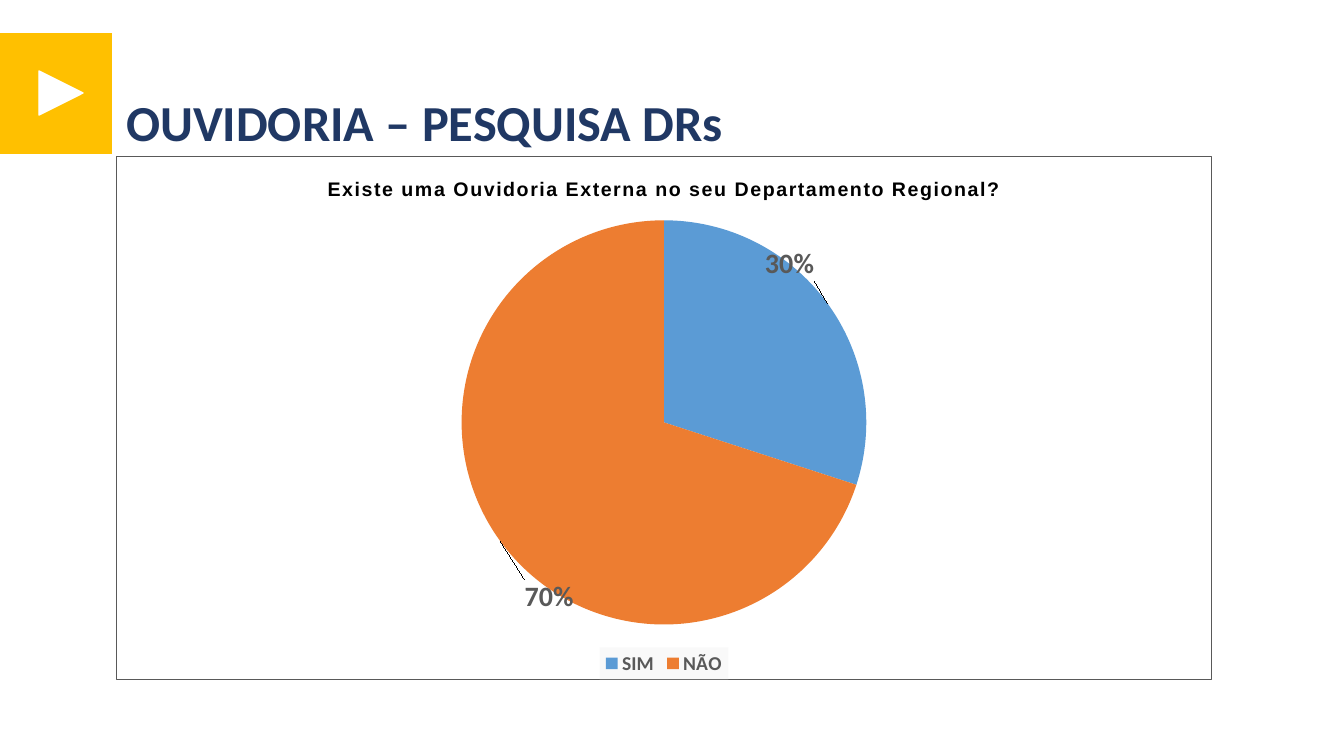
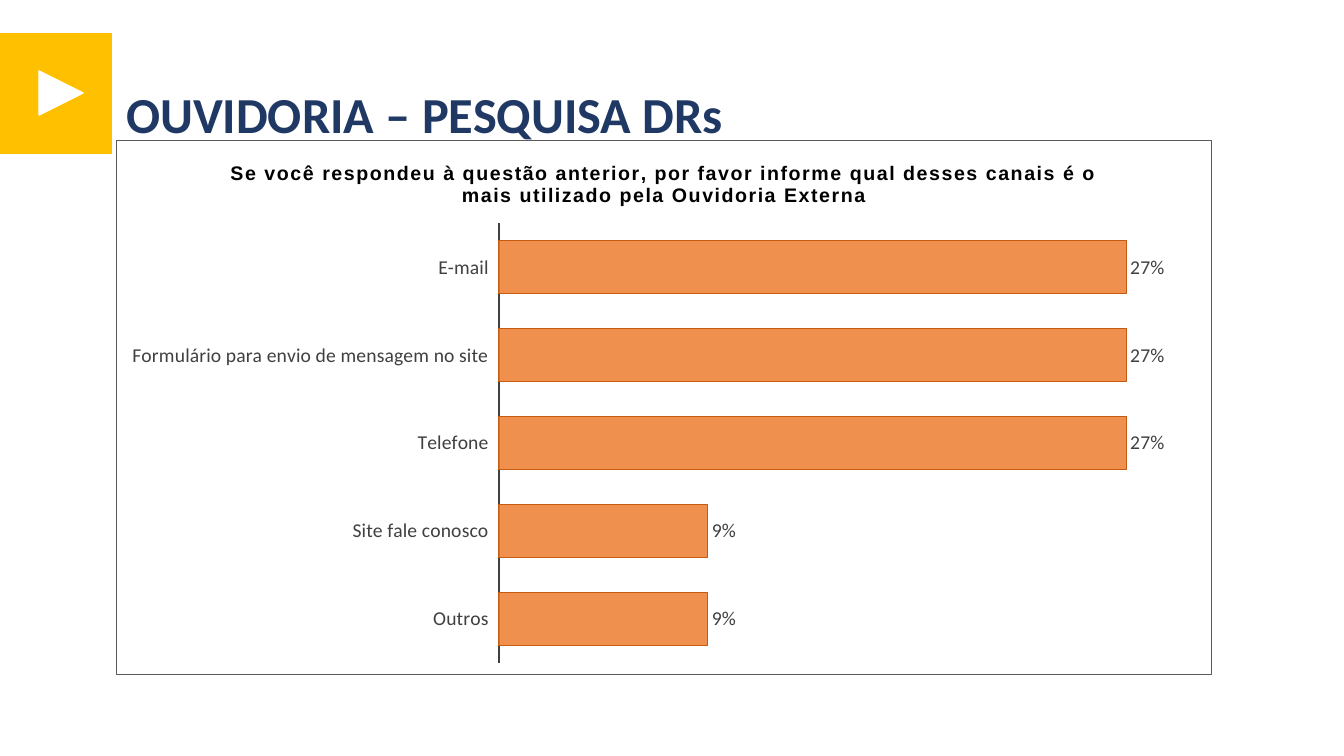
from lxml import etree
from pptx import Presentation
from pptx.chart.data import CategoryChartData
from pptx.dml.color import RGBColor
from pptx.enum.chart import XL_CHART_TYPE as ChartType, XL_LABEL_POSITION as LabelPosition
from pptx.enum.chart import XL_LEGEND_POSITION as LegendPosition, XL_TICK_MARK as TickMark
from pptx.enum.chart import XL_TICK_LABEL_POSITION as TickLabelPosition
from pptx.enum.shapes import MSO_SHAPE as Preset
from pptx.enum.text import MSO_ANCHOR as Anchor, MSO_AUTO_SIZE as AutoSize, PP_ALIGN as Align
from pptx.oxml import parse_xml
from pptx.oxml.ns import nsdecls, qn
from pptx.util import Pt

SCALE = 914400 / 100.8
AMBER = RGBColor(0xFF, 0xC0, 0x00)
WHITE = RGBColor(0xFF, 0xFF, 0xFF)
NAVY = RGBColor(0x20, 0x38, 0x64)
BLACK = RGBColor(0x00, 0x00, 0x00)
GRAY = RGBColor(0x59, 0x59, 0x59)
DARK_GRAY = RGBColor(0x40, 0x40, 0x40)
BLUE = RGBColor(0x5B, 0x9B, 0xD5)
ORANGE = RGBColor(0xED, 0x7D, 0x31)
RUST = RGBColor(0xC5, 0x5A, 0x11)
CHART_LEFT, CHART_WIDTH = 116, 1096


def px(*lengths):
    return [round(length * SCALE) for length in lengths]


def set_font(font, size, color, bold=False, name="Calibri"):
    font.name, font.size, font.bold = name, Pt(size), bold
    font.color.rgb = color


presentation = Presentation()
presentation.slide_width, presentation.slide_height = px(1344, 756)
layout = presentation.slide_layouts[5]

pages = [
    dict(title_top=93, top=156, height=524, type=ChartType.PIE,
         question="Existe uma Ouvidoria Externa no seu Departamento Regional?",
         categories=["SIM", "NÃO"], values=[30, 70], plot=(461, 220, 406, 405)),
    dict(title_top=85, top=140, height=535, type=ChartType.BAR_CLUSTERED,
         question="Se você respondeu à questão anterior, por favor informe qual desses canais "
                  "é o mais utilizado pela Ouvidoria Externa",
         categories=["E-mail", "Formulário para envio de mensagem no site", "Telefone",
                     "Site fale conosco", "Outros"],
         values=[0.27, 0.27, 0.27, 0.09, 0.09], plot=(499, 223, 698, 441)),
]
charts = []
for page in pages:
    slide = presentation.slides.add_slide(layout)
    title = slide.shapes.title
    title.left, title.top, title.width, title.height = px(116, page["title_top"], 948, 54)
    frame = title.text_frame
    frame.text = "OUVIDORIA – PESQUISA DRs"
    frame.vertical_anchor = Anchor.TOP
    frame.auto_size = AutoSize.NONE
    paragraph = frame.paragraphs[0]
    paragraph.alignment = Align.LEFT
    paragraph.line_spacing = 0.9
    set_font(paragraph.font, 36, NAVY, True)

    data = CategoryChartData()
    data.categories = page["categories"]
    data.add_series("Series 1", page["values"])
    chart = slide.shapes.add_chart(
        page["type"], *px(CHART_LEFT, page["top"], CHART_WIDTH, page["height"]), data).chart
    charts.append(chart)
    set_font(chart.font, 10, BLACK)
    chart.has_title = True
    chart.chart_title.include_in_layout = False
    heading = chart.chart_title.text_frame
    heading.text = page["question"]
    run = heading.paragraphs[0].runs[0]
    set_font(run.font, 14, BLACK, True, "Arial")
    run.font._element.set("spc", "100")

    left, top, width, height = page["plot"]
    fractions = dict(x=(left - CHART_LEFT) / CHART_WIDTH, y=(top - page["top"]) / page["height"],
                     w=width / CHART_WIDTH, h=height / page["height"])
    plot_area = chart._chartSpace.chart.plotArea
    for old_layout in plot_area.findall(qn("c:layout")):
        plot_area.remove(old_layout)
    plot_area.insert(0, parse_xml(
        f'<c:layout {nsdecls("c")}><c:manualLayout><c:layoutTarget val="inner"/>'
        '<c:xMode val="edge"/><c:yMode val="edge"/>'
        + "".join(f'<c:{key} val="{value:.3f}"/>' for key, value in fractions.items())
        + '</c:manualLayout></c:layout>'))
    chart._chartSpace.chart.addnext(parse_xml(
        f'<c:spPr {nsdecls("c", "a")}><a:solidFill><a:srgbClr val="{WHITE}"/></a:solidFill>'
        f'<a:ln w="9525"><a:solidFill><a:srgbClr val="{GRAY}"/></a:solidFill></a:ln></c:spPr>'))

shapes = presentation.slides[0].shapes
band = shapes.add_shape(Preset.RECTANGLE, *px(0, 33, 112, 121))
arrow = shapes.add_shape(Preset.ISOSCELES_TRIANGLE, *px(39, 71, 44, 44))
arrow.rotation = 90
for shape, color in ((band, AMBER), (arrow, WHITE)):
    shape.shadow.inherit = False
    shape.fill.solid()
    shape.fill.fore_color.rgb = color
    shape.line.fill.background()
    layout.shapes._spTree.append(shape._element)
arrow.line.color.rgb = WHITE
arrow.line.width = Pt(1)

pie_chart, bar_chart = charts

pie_chart.has_legend = True
legend = pie_chart.legend
legend.position = LegendPosition.BOTTOM
legend.include_in_layout = False
set_font(legend.font, 14, GRAY, True)
legend._element.find(qn("c:txPr")).addprevious(parse_xml(
    f'<c:spPr {nsdecls("c", "a")}><a:solidFill><a:srgbClr val="F2F2F2">'
    '<a:alpha val="39000"/></a:srgbClr></a:solidFill></c:spPr>'))
pie = pie_chart.plots[0]
pie.vary_by_categories = True
slices = pie.series[0]
for index, color in enumerate((BLUE, ORANGE)):
    point = slices.points[index]
    point.format.fill.solid()
    point.format.fill.fore_color.rgb = color
    set_font(point.data_label.font, 20, GRAY, True)
    point.data_label.position = LabelPosition.CENTER
label_offsets = ((0.04, -0.19), (-0.03, 0.22))
for label, (x, y) in zip(slices._element.iter(qn("c:dLbl")), label_offsets):
    label.find(qn("c:showVal")).set("val", "0")
    label.find(qn("c:showPercent")).set("val", "1")
    label.find(qn("c:idx")).addnext(parse_xml(
        f'<c:layout {nsdecls("c")}><c:manualLayout><c:x val="{x}"/><c:y val="{y}"/>'
        '</c:manualLayout></c:layout>'))

bar_chart.has_legend = False
category_axis = bar_chart.category_axis
category_axis.reverse_order = True
category_axis.major_tick_mark = TickMark.NONE
category_axis.minor_tick_mark = TickMark.NONE
category_axis.tick_label_position = TickLabelPosition.LOW
category_axis.format.line.color.rgb = DARK_GRAY
category_axis.format.line.width = Pt(1.5)
set_font(category_axis.tick_labels.font, 14, DARK_GRAY)
value_axis = bar_chart.value_axis
value_axis.visible = False
value_axis.has_major_gridlines = False
value_axis.minimum_scale, value_axis.maximum_scale = 0, 0.3
bars = bar_chart.plots[0]
bars.vary_by_categories = False
bars.gap_width = 65
bar_format = bars.series[0].format
bar_format.fill.solid()
bar_format.fill.fore_color.rgb = ORANGE
bar_color = next(bars.series[0]._element.iter(qn("a:srgbClr")))
etree.SubElement(bar_color, qn("a:alpha")).set("val", "85000")
bar_format.line.color.rgb = RUST
bar_format.line.width = Pt(0.75)
bars.has_data_labels = True
labels = bars.data_labels
labels.show_value = True
labels.number_format = "0%"
labels.number_format_is_linked = False
labels.position = LabelPosition.OUTSIDE_END
set_font(labels.font, 14, DARK_GRAY)

presentation.save("out.pptx")
